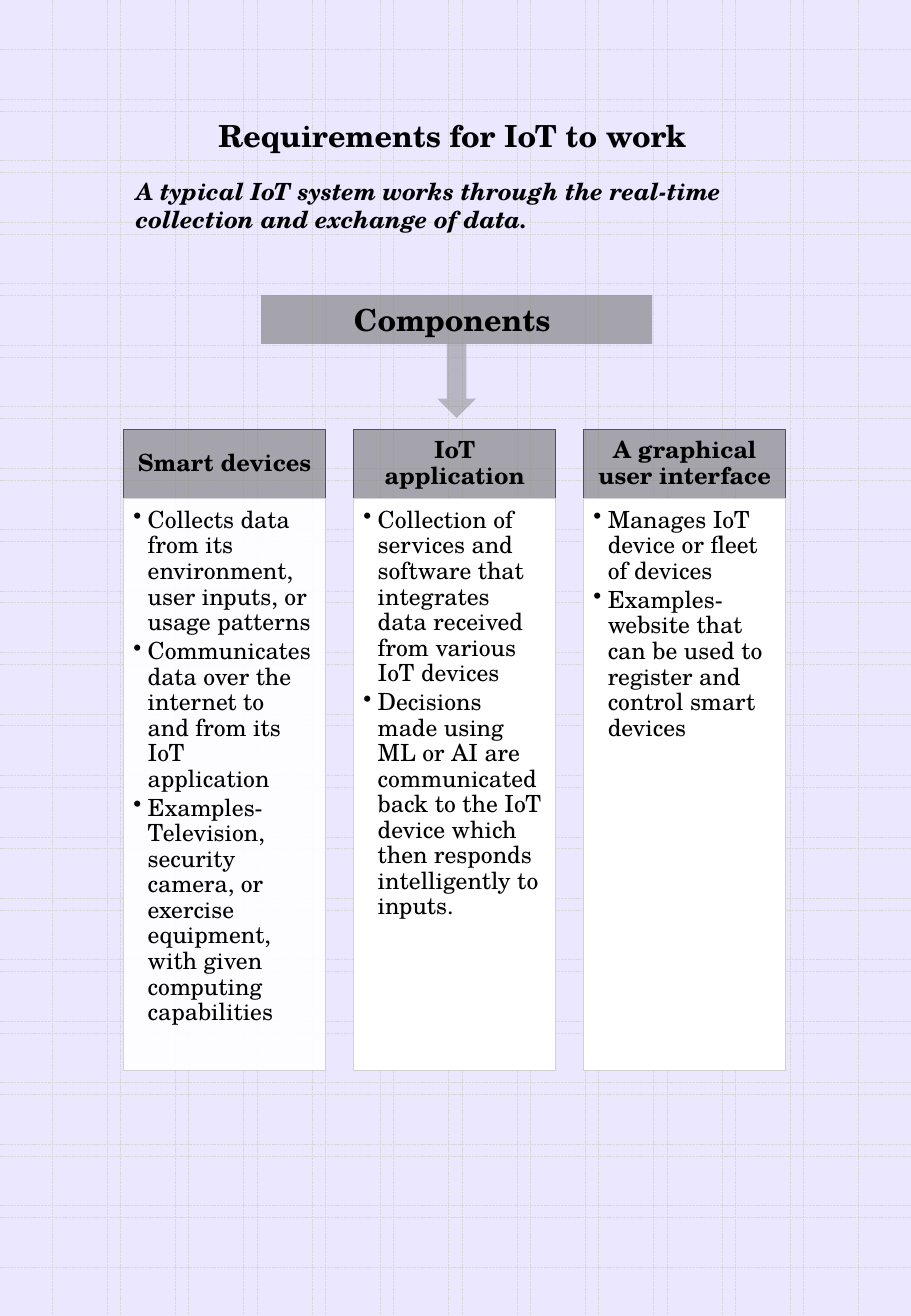
from lxml import etree
from pptx import Presentation
from pptx.dml.color import RGBColor
from pptx.enum.dml import MSO_LINE
from pptx.enum.shapes import MSO_CONNECTOR, MSO_SHAPE
from pptx.enum.text import MSO_ANCHOR as ANCHOR, MSO_AUTO_SIZE, PP_ALIGN as ALIGN
from pptx.oxml.ns import qn
from pptx.util import Cm, Pt

FONT = "TeX Gyre Schola"
LAVENDER = RGBColor(0xEB, 0xE7, 0xFF)
GRID_GREY = RGBColor(0xD9, 0xD9, 0xD9)
GREY = RGBColor(0x80, 0x80, 0x80)
SLATE = RGBColor(0x44, 0x54, 0x6A)
PALE = RGBColor(0xCF, 0xD1, 0xD4)
WHITE = RGBColor(0xFF, 0xFF, 0xFF)
BLACK = RGBColor(0, 0, 0)

WIDTH, HEIGHT = 19.05, 27.51
MARGIN, CONTENT_WIDTH = 2.59, 13.92

# Heading, opacity of the card in percent, bullet points
COMPONENTS = [
    ("Smart devices", 90, [
        "Collects data from its environment, user inputs, or usage patterns",
        "Communicates data over the internet to and from its IoT application",
        "Examples-Television, security camera, or exercise equipment, "
        "with given computing capabilities"]),
    ("IoT application", 100, [
        "Collection of services and software that integrates data received "
        "from various IoT devices",
        "Decisions made using ML or AI are communicated back to the IoT device "
        "which then responds intelligently to inputs."]),
    ("A graphical user interface", 100, [
        "Manages IoT device or fleet of devices",
        "Examples- website that can be used to register and control smart devices"]),
]


def write(shape, *lines, size=14, bold=False, italic=False, align=ALIGN.LEFT,
          anchor=ANCHOR.TOP, insets=(0.25, 0.13, 0.25, 0.13), spacing=1.0,
          after=0, bullet=False):
    """Fill a shape with one paragraph per line."""
    frame = shape.text_frame
    frame.word_wrap = True
    frame.auto_size = MSO_AUTO_SIZE.NONE
    frame.vertical_anchor = anchor
    (frame.margin_left, frame.margin_top,
     frame.margin_right, frame.margin_bottom) = map(Cm, insets)
    for i, line in enumerate(lines):
        paragraph = frame.add_paragraph() if i else frame.paragraphs[0]
        if bullet:
            properties = paragraph._p.get_or_add_pPr()
            properties.set("marL", str(Cm(0.3)))
            properties.set("indent", str(-Cm(0.3)))
            etree.SubElement(properties, qn("a:buChar"), char="•")
        paragraph.alignment = align
        paragraph.line_spacing = spacing
        paragraph.space_after = Pt(after)
        run = paragraph.add_run()
        run.text = line
        font = run.font
        font.name, font.size = FONT, Pt(size)
        font.bold, font.italic = bold, italic
        font.color.rgb = BLACK


def add_block(slide, box, fill, opacity=100, outline=None, kind=MSO_SHAPE.RECTANGLE):
    block = slide.shapes.add_shape(kind, *map(Cm, box))
    block.shadow.inherit = False
    block.fill.solid()
    block.fill.fore_color.rgb = fill
    if opacity < 100:
        colour = block._element.spPr.find(qn("a:solidFill"))[0]
        etree.SubElement(colour, qn("a:alpha"), val=str(opacity * 1000))
    if outline is None:
        block.line.fill.background()
    else:
        block.line.color.rgb = outline
        block.line.width = Pt(0.5)
    return block


def add_grid_line(slide, *ends):
    rule = slide.shapes.add_connector(MSO_CONNECTOR.STRAIGHT, *map(Cm, ends))
    rule.line.color.rgb = GRID_GREY
    rule.line.width = Pt(0.5)
    rule.line.dash_style = MSO_LINE.SQUARE_DOT
    etree.SubElement(rule._element.spPr, qn("a:effectLst"))


def spread(first, last, count):
    return [first + (last - first) * i / (count - 1) for i in range(count)]


def add_grid(slide, width, height):
    """Two interleaved sets of evenly spaced lines in each direction."""
    for y in spread(1.04, 25.45, 20) + spread(2.08, 26.49, 20):
        add_grid_line(slide, 0, y, width, y)
    for x in spread(1.09, 16.81, 12) + spread(2.24, 17.96, 12):
        add_grid_line(slide, x, 0, x, height)


def add_heading(slide, left, top, width):
    title = slide.shapes.title
    slide.shapes._spTree.append(title._element)  # bring in front of the grid
    title.left, title.top, title.width, title.height = map(Cm, (left, top, width, 1.04))
    write(title, "Requirements for IoT to work ", size=18, bold=True,
          align=ALIGN.CENTER, anchor=ANCHOR.MIDDLE)
    summary = slide.shapes.add_textbox(*map(Cm, (left, top + 1.25, width, 1.37)))
    write(summary, "A typical IoT system works through the real-time collection "
          "and exchange of data.", bold=True, italic=True)


def add_banner(slide, left, top, width):
    height, arrow_width = 1.02, 0.81
    banner = add_block(slide, (left, top, width, height), GREY, 65)
    write(banner, "Components ", size=18, bold=True,
          align=ALIGN.CENTER, anchor=ANCHOR.MIDDLE)
    arrow_box = (left + (width - arrow_width) / 2, top + height, arrow_width, 1.55)
    add_block(slide, arrow_box, GREY, 48, kind=MSO_SHAPE.DOWN_ARROW)


def add_component(slide, box, name, opacity, points):
    left, top, width, height = box
    head_height = 1.45
    head = add_block(slide, (left, top, width, head_height), GREY, 65, SLATE)
    write(head, name, bold=True, align=ALIGN.CENTER, anchor=ANCHOR.MIDDLE,
          insets=(0.28, 0.16, 0.28, 0.16), spacing=0.9)
    card = add_block(slide, (left, top + head_height, width, height - head_height),
                     WHITE, opacity, PALE)
    write(card, *points, insets=(0.2, 0.2, 0.28, 0.3), spacing=0.9, after=2,
          bullet=True)


def main():
    deck = Presentation()
    deck.slide_width, deck.slide_height = Cm(WIDTH), Cm(HEIGHT)
    slide = deck.slides.add_slide(deck.slide_layouts[5])
    slide.background.fill.solid()
    slide.background.fill.fore_color.rgb = LAVENDER

    add_grid(slide, WIDTH, HEIGHT)
    add_heading(slide, MARGIN, 2.31, CONTENT_WIDTH)
    add_banner(slide, 5.46, 6.17, 8.18)
    for column, component in enumerate(COMPONENTS):
        add_component(slide, (MARGIN + 4.81 * column, 8.97, 4.22, 13.4), *component)
    deck.save("out.pptx")


if __name__ == "__main__":
    main()
